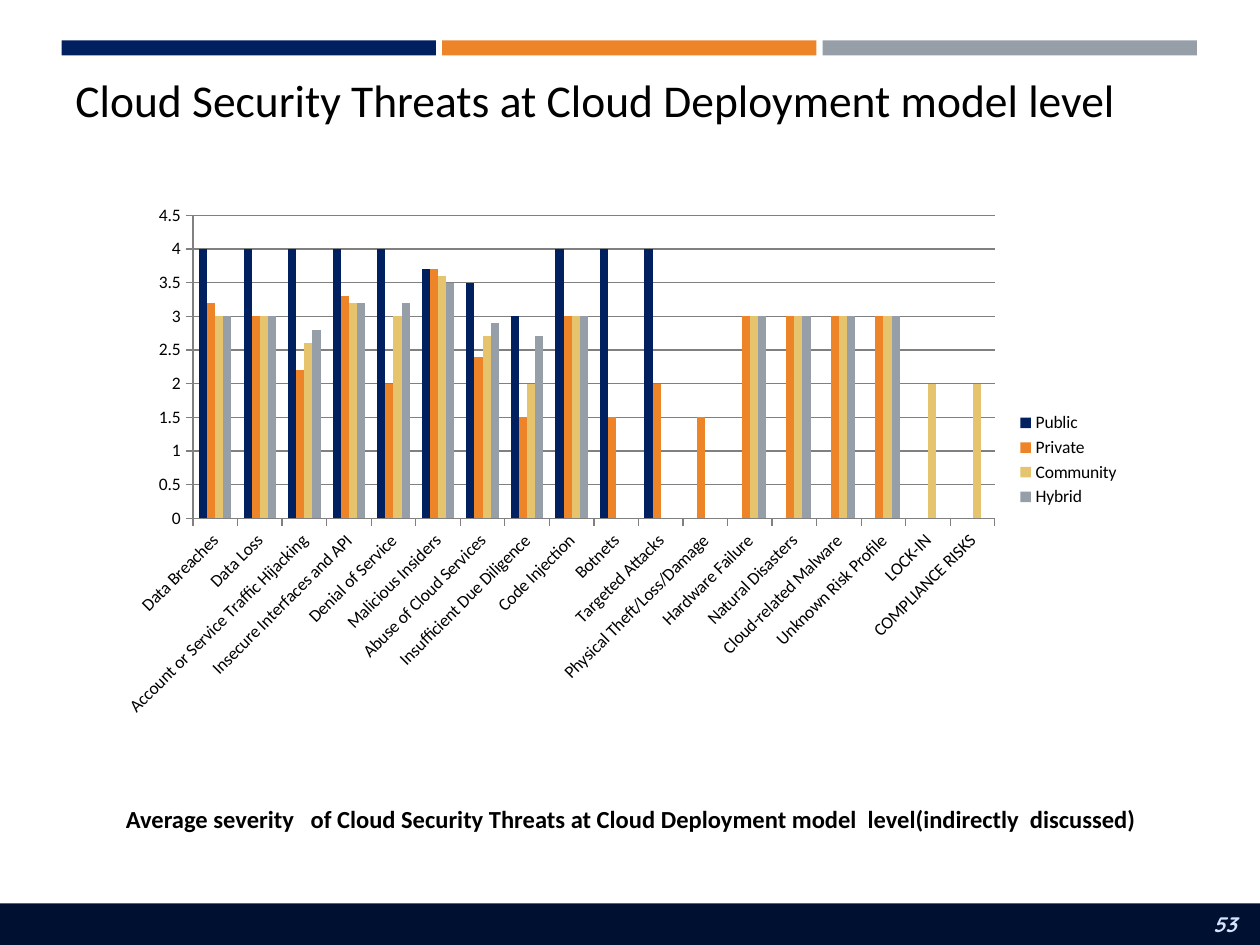
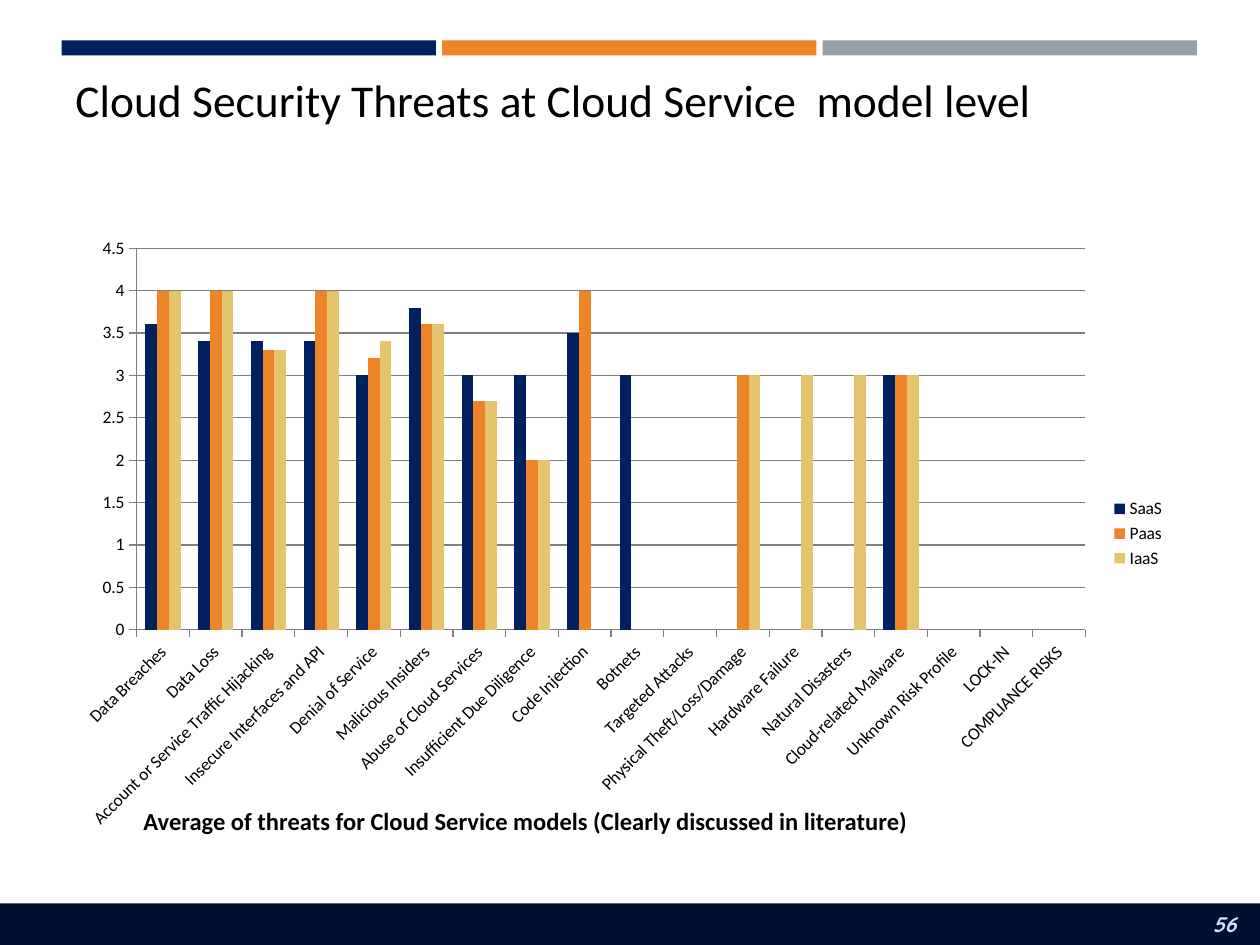
from lxml import etree
from pptx import Presentation
from pptx.chart.data import CategoryChartData
from pptx.dml.color import RGBColor
from pptx.enum.chart import XL_CHART_TYPE, XL_LEGEND_POSITION, XL_TICK_MARK
from pptx.enum.shapes import MSO_SHAPE
from pptx.enum.text import MSO_ANCHOR, PP_ALIGN
from pptx.oxml.ns import qn
from pptx.util import Inches, Pt

CLUSTERED = XL_CHART_TYPE.COLUMN_CLUSTERED
LEGEND_RIGHT = XL_LEGEND_POSITION.RIGHT
TICK_OUTSIDE, TICK_NONE = XL_TICK_MARK.OUTSIDE, XL_TICK_MARK.NONE
RECTANGLE = MSO_SHAPE.RECTANGLE
MIDDLE = MSO_ANCHOR.MIDDLE
LEFT, RIGHT = PP_ALIGN.LEFT, PP_ALIGN.RIGHT


class Theme:
    navy = RGBColor.from_string("002060")
    orange = RGBColor.from_string("ED8428")
    sand = RGBColor.from_string("E6C46D")
    gray = RGBColor.from_string("969FA7")
    footer = RGBColor.from_string("001030")
    number = RGBColor.from_string("D6E3FF")
    axis = RGBColor.from_string("808080")
    black = RGBColor.from_string("000000")
    font, number_font = "Calibri", "Quicksand"
    title_size, caption_size, number_size, chart_size = 26, 14, 12, 10


THREATS = [
    "Data Breaches", "Data Loss", "Account or Service Traffic Hijacking",
    "Insecure Interfaces and API", "Denial of Service", "Malicious Insiders",
    "Abuse of Cloud Services", "Insufficient Due Diligence", "Code Injection",
    "Botnets", "Targeted Attacks", "Physical Theft/Loss/Damage",
    "Hardware Failure", "Natural Disasters", "Cloud-related Malware",
    "Unknown Risk Profile", "LOCK-IN", "COMPLIANCE RISKS",
]
NA = None

# Plot boxes are fractions of the chart: left, top, width, height
SLIDES = [
    {
        "number": "53",
        "title": "Cloud Security Threats at Cloud Deployment model level",
        "caption": "Average severity   of Cloud Security Threats at Cloud "
                   "Deployment model  level(indirectly  discussed)",
        "caption_box": (0.9, 6.32, 8.74, 0.36),
        "chart_box": (0.83, 1.54, 8.16, 4.22),
        "plot_box": (0.086, 0.04, 0.78, 0.57),
        "series": {
            "Public": (Theme.navy, [4, 4, 4, 4, 4, 3.7, 3.5, 3, 4, 4, 4,
                                    NA, NA, NA, NA, NA, NA, NA]),
            "Private": (Theme.orange, [3.2, 3, 2.2, 3.3, 2, 3.7, 2.4, 1.5, 3, 1.5, 2,
                                       1.5, 3, 3, 3, 3, NA, NA]),
            "Community": (Theme.sand, [3, 3, 2.6, 3.2, 3, 3.6, 2.7, 2, 3, NA, NA,
                                       NA, 3, 3, 3, 3, 2, 2]),
            "Hybrid": (Theme.gray, [3, 3, 2.8, 3.2, 3.2, 3.5, 2.9, 2.7, 3, NA, NA,
                                    NA, 3, 3, 3, 3, NA, NA]),
        },
    },
    {
        "number": "56",
        "title": "Cloud Security Threats at Cloud Service  model level",
        "caption": "Average of threats for Cloud Service models "
                   "(Clearly discussed in literature)",
        "caption_box": (1.04, 6.4, 8.74, 0.23),
        "chart_box": (0.5, 1.8, 8.85, 4.87),
        "plot_box": (0.066, 0.035, 0.851, 0.622),
        "series": {
            "SaaS": (Theme.navy, [3.6, 3.4, 3.4, 3.4, 3, 3.8, 3, 3, 3.5, 3, NA,
                                  NA, NA, NA, 3, NA, NA, NA]),
            "Paas": (Theme.orange, [4, 4, 3.3, 4, 3.2, 3.6, 2.7, 2, 4, NA, NA,
                                    3, NA, NA, 3, NA, NA, NA]),
            "IaaS": (Theme.sand, [4, 4, 3.3, 4, 3.4, 3.6, 2.7, 2, NA, NA, NA,
                                  3, 3, 3, 3, NA, NA, NA]),
        },
    },
]


def add_text(slide, text, box, *, size, color=Theme.black, font=Theme.font,
             bold=False, italic=False, align=LEFT):
    frame = slide.shapes.add_textbox(*map(Inches, box)).text_frame
    frame.word_wrap = True
    frame.vertical_anchor = MIDDLE
    paragraph = frame.paragraphs[0]
    paragraph.text = text
    paragraph.alignment = align
    paragraph.font.name = font
    paragraph.font.size = Pt(size)
    paragraph.font.bold = bold
    paragraph.font.italic = italic
    paragraph.font.color.rgb = color


def add_threat_chart(slide, chart_box, plot_box, series_by_name):
    data = CategoryChartData()
    data.categories = THREATS
    for name, (_, values) in series_by_name.items():
        data.add_series(name, values)
    chart = slide.shapes.add_chart(CLUSTERED, *map(Inches, chart_box), data).chart
    chart.has_title = False
    chart.font.name = Theme.font
    chart.font.size = Pt(Theme.chart_size)
    chart.font.color.rgb = Theme.black
    chart.has_legend = True
    chart.legend.position = LEGEND_RIGHT
    chart.legend.include_in_layout = False

    # Columns
    plot = chart.plots[0]
    plot.gap_width, plot.overlap, plot.vary_by_categories = 150, 0, False
    for series, (color, _) in zip(plot.series, series_by_name.values()):
        series.format.fill.solid()
        series.format.fill.fore_color.rgb = color

    # Axes and gridlines
    category_axis, value_axis = chart.category_axis, chart.value_axis
    value_axis.has_major_gridlines = True
    value_axis.minimum_scale, value_axis.maximum_scale = 0, 4.5
    value_axis.major_unit = 0.5
    for axis in (category_axis, value_axis):
        axis.major_tick_mark, axis.minor_tick_mark = TICK_OUTSIDE, TICK_NONE
        axis.tick_labels.font.size = Pt(Theme.chart_size)
    for part in (category_axis, value_axis, value_axis.major_gridlines):
        part.format.line.color.rgb = Theme.axis
        part.format.line.width = Pt(0.75)
    label_body = category_axis._element.find(f"{qn('c:txPr')}/{qn('a:bodyPr')}")
    label_body.set("rot", "-2700000")

    # Fixed inner plot area
    plot_area = chart._chartSpace.find(f".//{qn('c:plotArea')}")
    for old_layout in plot_area.findall(qn("c:layout")):
        plot_area.remove(old_layout)
    layout = etree.Element(qn("c:layout"))
    manual = etree.SubElement(layout, qn("c:manualLayout"))
    settings = [("layoutTarget", "inner"), ("xMode", "edge"), ("yMode", "edge")]
    for tag, value in settings + list(zip("xywh", plot_box)):
        etree.SubElement(manual, qn(f"c:{tag}")).set("val", str(value))
    plot_area.insert(0, layout)


presentation = Presentation()
presentation.slide_width, presentation.slide_height = Inches(10), Inches(7.5)
blank_layout = presentation.slide_layouts[6]

# Three top bands at an equal pitch, and the footer
BANDS = [((0.49 + 3.02 * index, 0.32, 2.97, 0.12), color)
         for index, color in enumerate((Theme.navy, Theme.orange, Theme.gray))]
BANDS.append(((0, 7.17, 10, 0.33), Theme.footer))

for content in SLIDES:
    slide = presentation.slides.add_slide(blank_layout)

    # Shared frame
    for box, color in BANDS:
        shape = slide.shapes.add_shape(RECTANGLE, *map(Inches, box))
        shape.shadow.inherit = False
        shape.fill.solid()
        shape.fill.fore_color.rgb = color
        shape.line.fill.background()
    add_text(slide, content["number"], (8.41, 7.17, 1.5, 0.33),
             size=Theme.number_size, color=Theme.number, font=Theme.number_font,
             bold=True, italic=True, align=RIGHT)

    # Title, chart and caption
    add_text(slide, content["title"], (0.5, 0.3, 9.01, 0.98), size=Theme.title_size)
    add_threat_chart(slide, content["chart_box"], content["plot_box"], content["series"])
    add_text(slide, content["caption"], content["caption_box"],
             size=Theme.caption_size, bold=True)

presentation.save("out.pptx")
